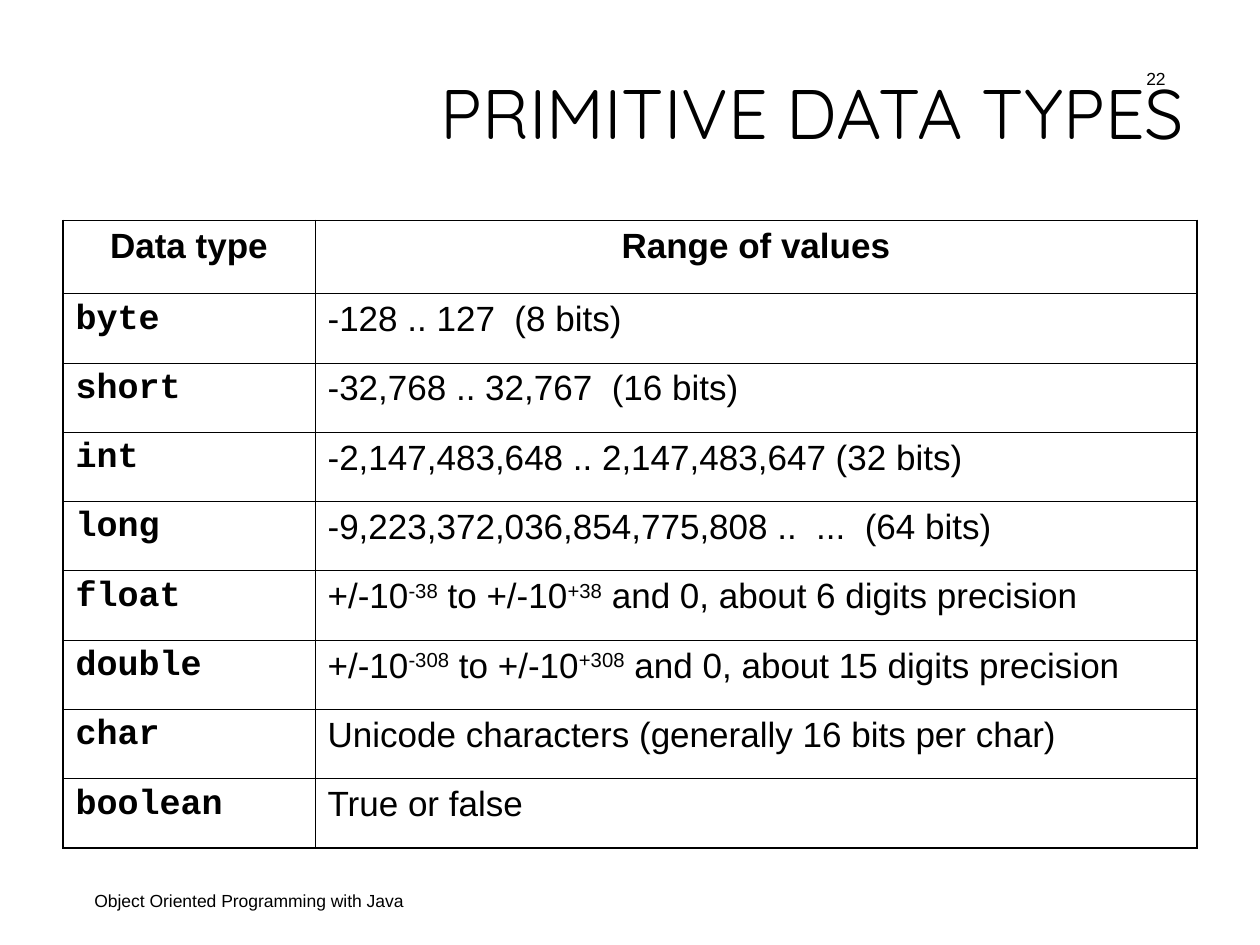
import pptx
import pptx.dml.color
import pptx.enum.text
import pptx.oxml
import pptx.oxml.ns
import pptx.util

Inches = pptx.util.Inches
ALIGN = pptx.enum.text.PP_ALIGN
MIDDLE = pptx.enum.text.MSO_ANCHOR.MIDDLE

BLACK = "000000"
THIN, THICK = 0.45, 1.08
COLUMN_WIDTHS = (2, 7)
HEADER_HEIGHT, ROW_HEIGHT = 0.58, 0.55

# Text between carets is superscript.
DATA_TYPES = [
    ("Data type", "Range of values"),
    ("byte", "-128 .. 127  (8 bits)"),
    ("short", "-32,768 .. 32,767  (16 bits)"),
    ("int", "-2,147,483,648 .. 2,147,483,647 (32 bits)"),
    ("long", "-9,223,372,036,854,775,808 ..  ...  (64 bits)"),
    ("float", "+/-10^-38^ to +/-10^+38^ and 0, about 6 digits precision"),
    ("double", "+/-10^-308^ to +/-10^+308^ and 0, about 15 digits precision"),
    ("char", "Unicode characters (generally 16 bits per char)"),
    ("boolean", "True or false"),
]


def rgb(value):
    return pptx.dml.color.RGBColor.from_string(value)


def write(frame, text, size, font="Arial", align=ALIGN.LEFT, bold=False):
    """Fill the first paragraph, raising the parts between carets."""
    paragraph = frame.paragraphs[0]
    paragraph.alignment = align
    paragraph.font.name = font
    paragraph.font.size = pptx.util.Pt(size)
    paragraph.font.bold = bold
    paragraph.font.color.rgb = rgb(BLACK)
    for index, part in enumerate(text.split("^")):
        run = paragraph.add_run()
        run.text = part
        if index % 2:
            run._r.get_or_add_rPr().set("baseline", "30000")
    return paragraph


def set_borders(cell, widths):
    """Draw black borders; widths are left, right, top, bottom in points."""
    properties = cell._tc.get_or_add_tcPr()
    for index, (side, width) in enumerate(zip("LRTB", widths)):
        line = pptx.oxml.parse_xml(
            f'<a:ln{side} {pptx.oxml.ns.nsdecls("a")} w="{pptx.util.Pt(width)}">'
            f'<a:solidFill><a:srgbClr val="{BLACK}"/></a:solidFill></a:ln{side}>'
        )
        properties.insert(index, line)


def add_title(slide, text):
    title = slide.shapes.title
    title.left, title.top = Inches(0.5), Inches(0.3)
    title.width, title.height = Inches(9), Inches(1.25)
    frame = title.text_frame
    frame.vertical_anchor = MIDDLE
    frame.auto_size = pptx.enum.text.MSO_AUTO_SIZE.NONE
    write(frame, text, 40, "Quicksand", ALIGN.RIGHT).line_spacing = 0.9


def add_type_table(slide):
    last_row, last_column = len(DATA_TYPES) - 1, len(COLUMN_WIDTHS) - 1
    height = HEADER_HEIGHT + last_row * ROW_HEIGHT
    table = slide.shapes.add_table(
        len(DATA_TYPES), len(COLUMN_WIDTHS),
        Inches(0.5), Inches(1.75), Inches(sum(COLUMN_WIDTHS)), Inches(height),
    ).table
    table.first_row = table.horz_banding = False
    for column, width in zip(table.columns, COLUMN_WIDTHS):
        column.width = Inches(width)
    for row, texts in enumerate(DATA_TYPES):
        header = row == 0
        table.rows[row].height = Inches(HEADER_HEIGHT if header else ROW_HEIGHT)
        for column, text in enumerate(texts):
            cell = table.cell(row, column)
            cell.fill.background()
            type_name = column == 0 and not header
            write(
                cell.text_frame, text, 20,
                "Courier New" if type_name else "Arial",
                ALIGN.CENTER if header else ALIGN.JUSTIFY,
                header or type_name,
            )
            outer = (column == 0, column == last_column, header, row == last_row)
            set_borders(cell, [THICK if edge else THIN for edge in outer])


def add_label(slide, text, left, top, width, align):
    box = slide.shapes.add_textbox(
        Inches(left), Inches(top), Inches(width), Inches(0.4))
    box.text_frame.word_wrap = True
    box.text_frame.vertical_anchor = MIDDLE
    write(box.text_frame, text, 10, align=align)


def main():
    deck = pptx.Presentation()
    deck.slide_width, deck.slide_height = Inches(10), Inches(7.5)
    slide = deck.slides.add_slide(deck.slide_layouts.get_by_name("Title Only"))
    add_title(slide, "PRIMITIVE DATA TYPES")
    add_type_table(slide)
    add_label(slide, "Object Oriented Programming with Java", 0.65, 6.95, 6.21, ALIGN.LEFT)
    add_label(slide, "22", 7.19, 0.42, 2.16, ALIGN.RIGHT)
    deck.save("out.pptx")


if __name__ == "__main__":
    main()
